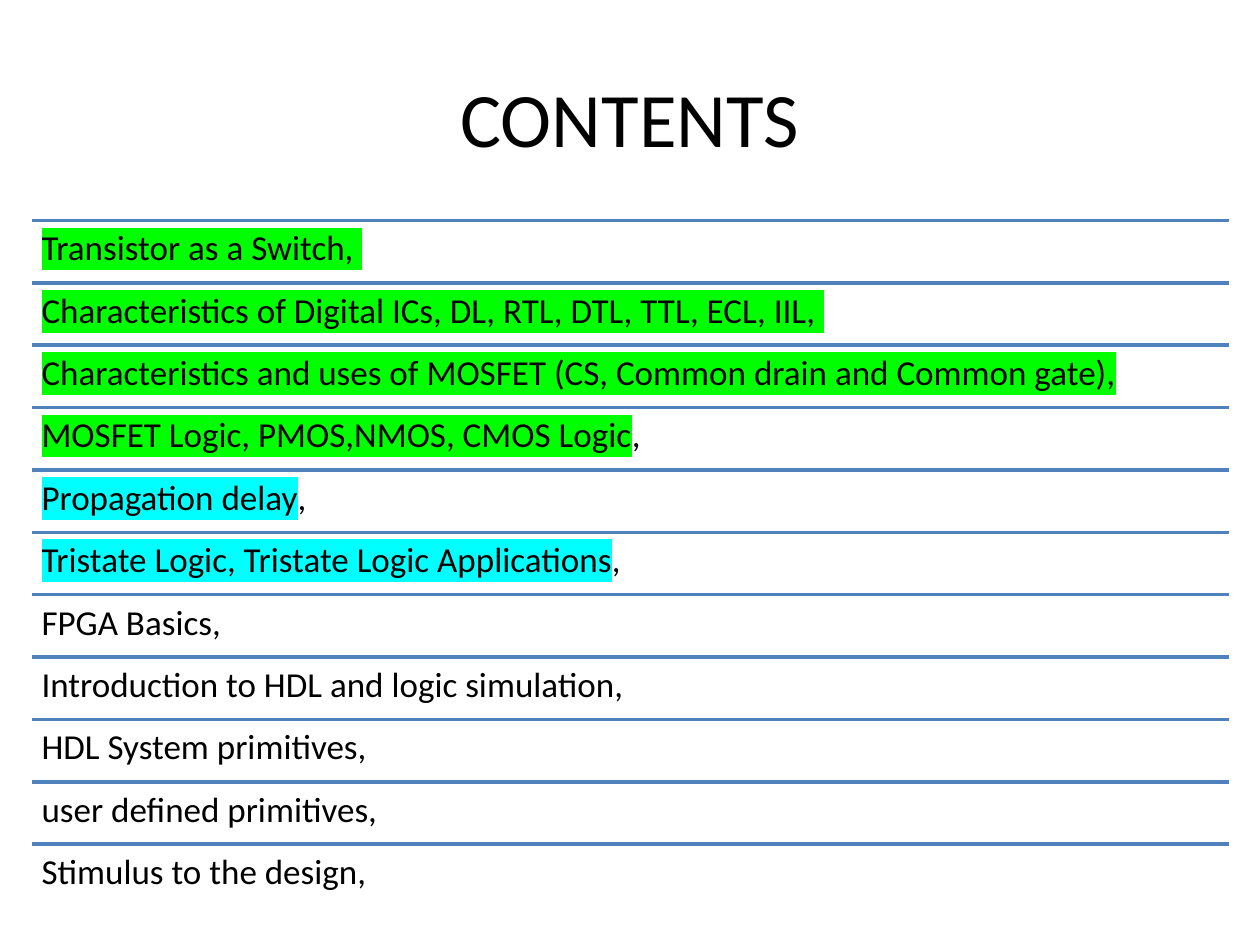
from dataclasses import dataclass
from typing import Optional

from lxml import etree
from pptx import Presentation
from pptx.dml.color import RGBColor
from pptx.enum.shapes import MSO_CONNECTOR
from pptx.enum.text import MSO_ANCHOR, PP_ALIGN
from pptx.oxml.ns import qn
from pptx.util import Inches, Pt

STRAIGHT = MSO_CONNECTOR.STRAIGHT
MIDDLE, TOP = MSO_ANCHOR.MIDDLE, MSO_ANCHOR.TOP
CENTER, LEFT = PP_ALIGN.CENTER, PP_ALIGN.LEFT

BLACK = RGBColor(0x00, 0x00, 0x00)
BLUE = RGBColor(0x4F, 0x81, 0xBD)
GREEN = RGBColor(0x00, 0xFF, 0x00)
CYAN = RGBColor(0x00, 0xFF, 0xFF)

SLIDE_WIDTH, SLIDE_HEIGHT = Inches(10), Inches(7.5)

# Contents grid, as shares of the slide's size
LIST_LEFT = 0.025
LIST_WIDTH = 0.95
LIST_TOP = 1.75 / 7.5
ROW_HEIGHT = 0.066


@dataclass(frozen=True)
class Topic:
    marked: str
    highlight: Optional[RGBColor] = None
    unmarked: str = ""


TOPICS = [
    Topic("Transistor as a Switch, ", GREEN),
    Topic("Characteristics of Digital ICs, DL, RTL, DTL, TTL, ECL, IIL, ", GREEN),
    Topic("Characteristics and uses of MOSFET (CS, Common drain and Common gate),", GREEN),
    Topic("MOSFET Logic, PMOS,NMOS, CMOS Logic", GREEN, ","),
    Topic("Propagation delay", CYAN, ","),
    Topic("Tristate Logic, Tristate Logic Applications", CYAN, ","),
    Topic("FPGA Basics,"),
    Topic("Introduction to HDL and logic simulation,"),
    Topic("HDL System primitives,"),
    Topic("user defined primitives,"),
    Topic("Stimulus to the design,"),
]


def set_attributes(target, values: dict) -> None:
    for name, value in values.items():
        setattr(target, name, value)


def add_text_box(slide, left: float, top: float, width: float, height: float,
                 frame_format: dict, paragraph_format: dict):
    """Add a text box placed by shares of the slide and return its paragraph."""
    box = slide.shapes.add_textbox(
        int(left * SLIDE_WIDTH), int(top * SLIDE_HEIGHT),
        int(width * SLIDE_WIDTH), int(height * SLIDE_HEIGHT))
    set_attributes(box.text_frame, {"word_wrap": True, **frame_format})
    paragraph = box.text_frame.paragraphs[0]
    set_attributes(paragraph, paragraph_format)
    return paragraph


def add_run(paragraph, text: str, size: int,
            highlight: Optional[RGBColor] = None) -> None:
    run = paragraph.add_run()
    run.text = text
    set_attributes(run.font, {"name": "Calibri", "size": Pt(size)})
    run.font.color.rgb = BLACK
    if highlight is not None:
        # The highlight element belongs right after the text fill
        mark = etree.Element(qn("a:highlight"))
        etree.SubElement(mark, qn("a:srgbClr"), val=str(highlight))
        run.font._element.find(qn("a:solidFill")).addnext(mark)


def add_rule(slide, top: float) -> None:
    left, right = (int(share * SLIDE_WIDTH)
                   for share in (LIST_LEFT, LIST_LEFT + LIST_WIDTH))
    height = int(top * SLIDE_HEIGHT)
    rule = slide.shapes.add_connector(STRAIGHT, left, height, right, height)
    rule.line.color.rgb = BLUE
    rule.line.width = Pt(2)
    etree.SubElement(rule._element.spPr, qn("a:effectLst"))


def add_topic(slide, row: int, topic: Topic) -> None:
    top = LIST_TOP + row * ROW_HEIGHT
    add_rule(slide, top)
    margins = {f"margin_{side}": Inches(0.08)
               for side in ("left", "top", "right", "bottom")}
    paragraph = add_text_box(
        slide, LIST_LEFT, top, LIST_WIDTH, ROW_HEIGHT,
        {"vertical_anchor": TOP, **margins},
        {"alignment": LEFT, "line_spacing": 0.9, "space_after": Pt(7)})
    add_run(paragraph, topic.marked, 20, topic.highlight)
    if topic.unmarked:
        add_run(paragraph, topic.unmarked, 20)


def main() -> None:
    presentation = Presentation()
    set_attributes(presentation, {"slide_width": SLIDE_WIDTH,
                                  "slide_height": SLIDE_HEIGHT})
    slide = presentation.slides.add_slide(presentation.slide_layouts[6])

    # Heading
    heading = add_text_box(slide, 0.05, 0.04, 0.9, 1 / 6,
                           {"vertical_anchor": MIDDLE}, {"alignment": CENTER})
    add_run(heading, "CONTENTS", 44)

    # Ruled list of topics
    for row, topic in enumerate(TOPICS):
        add_topic(slide, row, topic)

    presentation.save("out.pptx")


if __name__ == "__main__":
    main()
